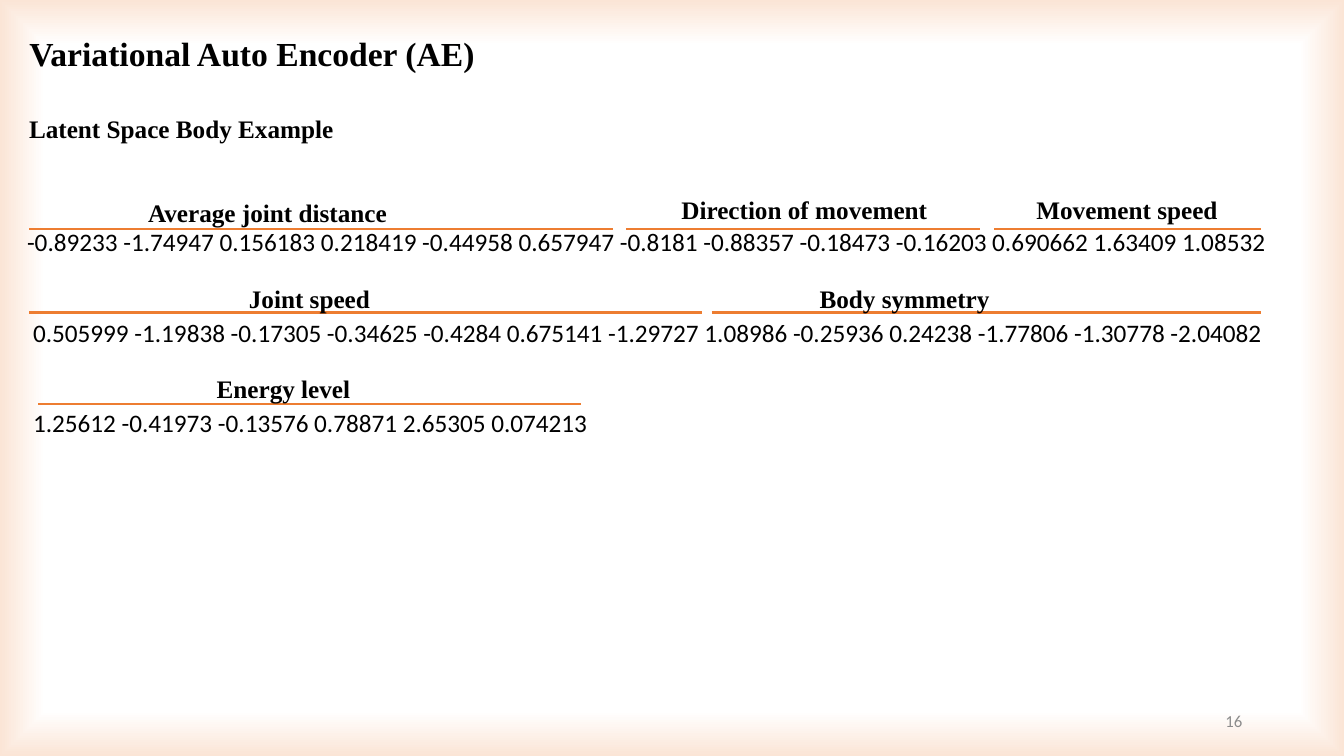
import pptx
import pptx.util
import pptx.oxml
import pptx.dml.color
import pptx.enum.shapes
import pptx.enum.text

inch = pptx.util.Inches
align = pptx.enum.text.PP_ALIGN
anchor = pptx.enum.text.MSO_ANCHOR
serif, sans = "Times New Roman", "Calibri"


def color(code):
    return pptx.dml.color.RGBColor.from_string(code)


def write(shape, box, lines, size, face=serif, bold=True, tint="000000", side=align.LEFT):
    shape.left, shape.top, shape.width, shape.height = map(inch, box)
    frame = shape.text_frame
    frame.word_wrap = True
    frame.vertical_anchor = anchor.TOP
    frame.text = "\n".join(lines)
    for para in frame.paragraphs:
        para.alignment = side
        font = para.font
        font.name, font.size, font.bold = face, pptx.util.Pt(size), bold
        font.color.rgb = color(tint)
    return frame


deck = pptx.Presentation()
deck.slide_width, deck.slide_height = inch(13.33), inch(7.5)
slide = deck.slides.add_slide(deck.slide_layouts[5])
shapes = slide.shapes

# Background: white, with a soft peach rim
fill = slide.background.fill
fill.gradient()
grad = slide.background._cSld.find(".//" + pptx.oxml.ns.qn("a:gradFill"))
for part in list(grad):
    grad.remove(part)
space = pptx.oxml.ns.nsdecls("a")
stops = "".join(
    f'<a:gs pos="{share * 1000}"><a:srgbClr val="{code}"/></a:gs>'
    for share, code in [(0, "FFFFFF"), (88, "FFFFFF"), (100, "FBE5D6")]
)
grad.append(pptx.oxml.parse_xml(f"<a:gsLst {space}>{stops}</a:gsLst>"))
grad.append(pptx.oxml.parse_xml(
    f'<a:path {space} path="shape"><a:fillToRect l="50000" t="50000" r="50000" b="50000"/></a:path>'
))

# Title and subtitle
wide = 12.97
write(shapes.title, (0.19, 0.28, wide, 0.48), ["Variational Auto Encoder (AE)"], 24)
write(shapes.add_textbox(0, 0, 0, 0), (0.19, 1.08, wide, 0.4), ["Latent Space Body Example"], 18)

# Latent values, one paragraph per row
rows = [
    "-0.89233 -1.74947 0.156183 0.218419 -0.44958 0.657947 -0.8181 -0.88357 -0.18473 -0.16203 0.690662 1.63409 1.08532",
    "0.505999 -1.19838 -0.17305 -0.34625 -0.4284 0.675141 -1.29727 1.08986 -0.25936 0.24238 -1.77806 -1.30778 -2.04082",
    "1.25612 -0.41973 -0.13576 0.78871 2.65305 0.074213",
]
frame = write(shapes.add_textbox(0, 0, 0, 0), (0.17, 2.2, wide, 2.22), rows, 18, sans, False)
for para in frame.paragraphs[1:]:
    para.space_before = pptx.util.Pt(43)
    para._p.get_or_add_pPr().set("marL", str(inch(0.06)))

# Groups: label, its left and top, then the rule's height, start and end
groups = [
    ("Average joint distance", 1.37, 1.91, 2.27, 0.29, 6.08),
    ("Direction of movement", 6.66, 1.88, 2.27, 6.21, 9.72),
    ("Movement speed", 10.18, 1.88, 2.27, 9.86, 12.51),
    ("Joint speed", 2.37, 2.76, 3.1, 0.29, 6.96),
    ("Body symmetry", 8.03, 2.76, 3.1, 7.06, 12.51),
    ("Energy level", 2.05, 3.65, 4.01, 0.38, 5.76),
]
for label, left, top, high, start, end in groups:
    rule = shapes.add_connector(
        pptx.enum.shapes.MSO_CONNECTOR.STRAIGHT, inch(start), inch(high), inch(end), inch(high)
    )
    rule.line.color.rgb = color("ED7D31")
    rule.line.width = pptx.util.Pt(1.5)
    rule._element.spPr.append(pptx.oxml.parse_xml(f"<a:effectLst {space}/>"))
    write(shapes.add_textbox(0, 0, 0, 0), (left, top, 2.65, 0.4), [label], 18)

# Slide number
page = write(shapes.add_textbox(0, 0, 0, 0), (9.42, 6.95, 3, 0.4), ["16"], 12,
             sans, False, "8C8C8C", align.RIGHT)
page.vertical_anchor = anchor.MIDDLE

deck.save("out.pptx")
